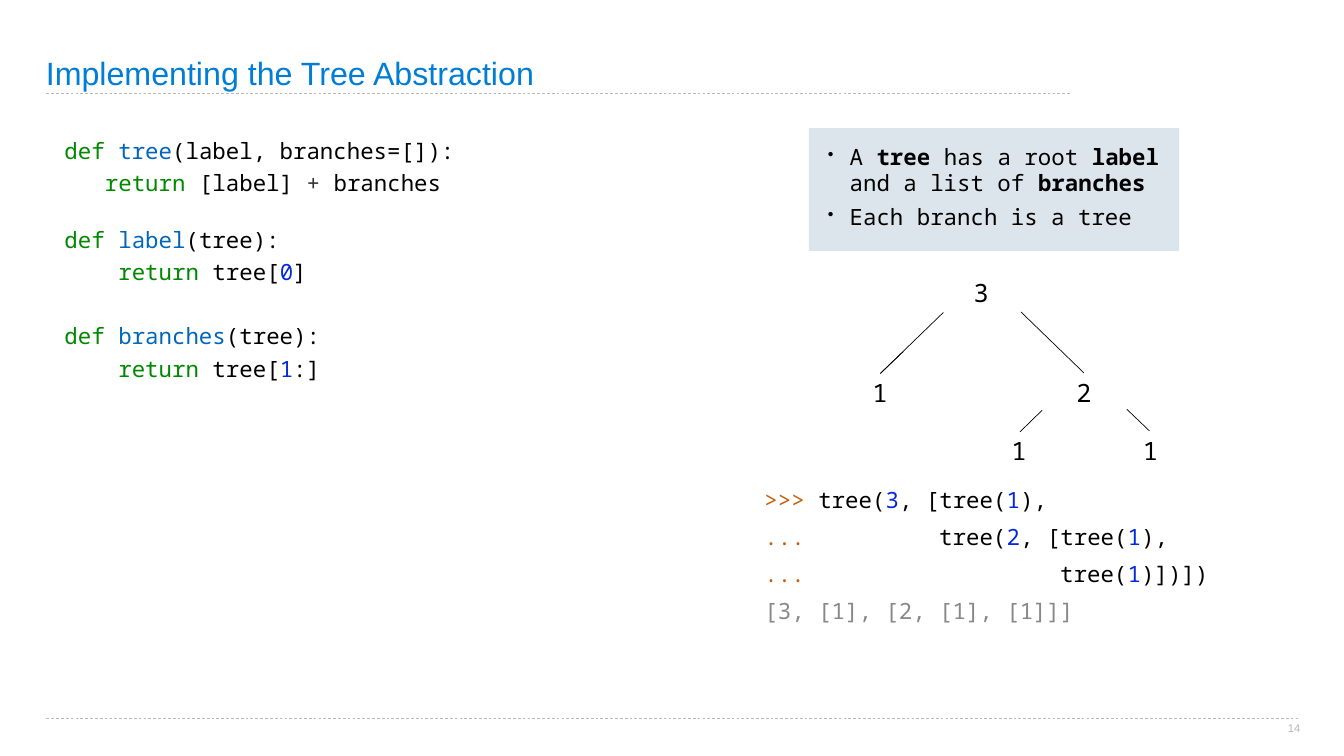
from dataclasses import dataclass

from lxml import etree
from pptx import Presentation
from pptx.dml.color import RGBColor
from pptx.enum.dml import MSO_LINE
from pptx.enum.shapes import MSO_CONNECTOR, MSO_SHAPE
from pptx.enum.text import MSO_ANCHOR, MSO_AUTO_SIZE, PP_ALIGN
from pptx.oxml.ns import qn
from pptx.util import Emu, Pt

EMU_PER_PX = 9144  # 100 px to the inch

BLACK = RGBColor(0x00, 0x00, 0x00)
TITLE_BLUE = RGBColor(0x00, 0x7D, 0xD6)
RULE_GREY = RGBColor(0xB8, 0xB8, 0xB8)
PANEL = RGBColor(0xDC, 0xE4, 0xEC)
KEYWORD = RGBColor(0x00, 0x88, 0x00)
FUNCTION = RGBColor(0x00, 0x66, 0xBB)
NUMBER = RGBColor(0x03, 0x2A, 0xDD)
OPERATOR = RGBColor(0x32, 0x33, 0x33)
PROMPT = RGBColor(0xC6, 0x5E, 0x0A)
RESULT = RGBColor(0x88, 0x88, 0x88)

SANS, MONO = "Arial", "Noto Sans Mono"
CODE_FONT = {"name": MONO, "size": Pt(32)}
NODE_FONT = {"name": MONO, "size": Pt(36)}
NODE_SIZE = (172, 59)
GROWING = {"auto_size": MSO_AUTO_SIZE.SHAPE_TO_FIT_TEXT, "word_wrap": False}


@dataclass(frozen=True)
class Span:
    text: str
    color: RGBColor = BLACK
    bold: bool = False


@dataclass(frozen=True)
class Node:
    label: str
    left: int
    top: int


@dataclass(frozen=True)
class Rule:
    x1: int
    y1: int
    x2: int
    y2: int


def px(length: int) -> Emu:
    return Emu(length * EMU_PER_PX)


def apply_format(target, values: dict) -> None:
    for name, value in values.items():
        setattr(target, name, value)


def write(shape, lines: list, font: dict, paragraph: dict, inset: int = 6, **frame) -> list:
    """Fill a shape with lines of spans and return its paragraphs."""
    text_frame = shape.text_frame
    margins = {f"margin_{side}": px(inset) for side in ("left", "top", "right", "bottom")}
    apply_format(text_frame, {"word_wrap": True, **margins, **frame})
    paragraphs = []
    for index, line in enumerate(lines):
        row = text_frame.add_paragraph() if index else text_frame.paragraphs[0]
        apply_format(row, paragraph)
        for span in line:
            run = row.add_run()
            run.text = span.text
            apply_format(run.font, {**font, "bold": span.bold})
            run.font.color.rgb = span.color
        paragraphs.append(row)
    return paragraphs


def add_text(slide, left: int, top: int, width: int, height: int, lines: list,
             font: dict, paragraph: dict, **frame) -> list:
    box = slide.shapes.add_textbox(px(left), px(top), px(width), px(height))
    return write(box, lines, font, paragraph, **frame)


def add_rule(slide, rule: Rule, color: RGBColor = BLACK, dash=None) -> None:
    connector = slide.shapes.add_connector(
        MSO_CONNECTOR.STRAIGHT, px(rule.x1), px(rule.y1), px(rule.x2), px(rule.y2))
    connector.line.color.rgb = color
    apply_format(connector.line, {"width": Pt(1), "dash_style": dash})
    etree.SubElement(connector._element.spPr, qn("a:effectLst"))


def indent(paragraph, left: int, hanging: int = 0):
    properties = paragraph._p.get_or_add_pPr()
    properties.set("marL", str(px(left)))
    properties.set("indent", str(px(-hanging)))
    return properties


def add_bullet(paragraph) -> None:
    properties = indent(paragraph, 52, 43)
    etree.SubElement(properties, qn("a:buSzPct"), val="75000")
    etree.SubElement(properties, qn("a:buChar"), char="•")


def add_node(slide, node: Node) -> None:
    for row in add_text(slide, node.left, node.top, *NODE_SIZE, [[Span(node.label)]], NODE_FONT,
                        {"alignment": PP_ALIGN.CENTER}, vertical_anchor=MSO_ANCHOR.MIDDLE):
        indent(row, 10)


def definition(name: str, parameters: str) -> list[Span]:
    return [Span("def ", KEYWORD), Span(name, FUNCTION), Span(f"({parameters}):")]


def selection(index: str, end: str) -> list[Span]:
    return [Span("    "), Span("return", KEYWORD), Span(" tree["), Span(index, NUMBER), Span(end)]


def call(prompt: str, start: str, *rest: str) -> list[Span]:
    """A console line whose rest alternates numbers and plain code."""
    code = [Span(text, BLACK if i % 2 else NUMBER) for i, text in enumerate(rest)]
    return [Span(prompt, PROMPT), Span(start), *code]


CONSTRUCTOR = [
    (256, 788, definition("tree", "label, branches=[]")),
    (319, 762, [Span("   "), Span("return", KEYWORD), Span(" [label] "),
                Span("+", OPERATOR), Span(" branches")]),
]
SELECTORS = [
    definition("label", "tree"), selection("0", "]"),
    definition("branches", "tree"), selection("1", ":]"),
]
SESSION = [
    call(">>> ", "tree(", "3", ", [tree(", "1", "),"),
    call("... ", "         tree(", "2", ", [tree(", "1", "),"),
    call("... ", "                  tree(", "1", ")])])"),
    [Span("[3, [1], [2, [1], [1]]]", RESULT)],
]
FACTS = [
    [Span("A "), Span("tree", bold=True), Span(" has a root "), Span("label", bold=True),
     Span(" and a list of "), Span("branches", bold=True)],
    [Span("Each branch is a tree")],
]
NODES = [Node("3", 1856, 551), Node("1", 1655, 749), Node("2", 2060, 749),
         Node("1", 1931, 864), Node("1", 2192, 864)]
EDGES = [Rule(1872, 620, 1747, 741), Rule(1792, 698, 1747, 741), Rule(2026, 619, 2151, 740),
         Rule(2068, 814, 2024, 857), Rule(2236, 812, 2281, 855)]


def main() -> None:
    deck = Presentation()
    deck.slide_width, deck.slide_height = px(2667), px(1500)
    slide = deck.slides.add_slide(deck.slide_layouts[6])

    # Title, rules and page number
    for rule in (Rule(92, 186, 2126, 186), Rule(92, 1426, 2578, 1426)):
        add_rule(slide, rule, RULE_GREY, MSO_LINE.DASH)
    add_text(slide, 91, 0, 2031, 183, [[Span("Implementing the Tree Abstraction", TITLE_BLUE)]],
             {"name": SANS, "size": Pt(46)}, {"line_spacing": 0.9},
             inset=0, vertical_anchor=MSO_ANCHOR.BOTTOM)
    add_text(slide, 2555, 1432, 26, 24, [[Span("14", RULE_GREY)]],
             {"name": SANS, "size": Pt(16)}, {"alignment": PP_ALIGN.CENTER}, inset=0, **GROWING)

    # Facts panel
    panel = slide.shapes.add_shape(MSO_SHAPE.RECTANGLE, px(1605), px(254), px(735), px(244))
    panel.shadow.inherit = False
    panel.fill.solid()
    panel.fill.fore_color.rgb = PANEL
    panel.line.fill.background()
    facts = write(panel, FACTS, CODE_FONT, {"alignment": PP_ALIGN.LEFT}, inset=29,
                  vertical_anchor=MSO_ANCHOR.TOP)
    for fact in facts:
        add_bullet(fact)
    facts[1].space_before = Pt(10)

    # Tree diagram
    for edge in EDGES:
        add_rule(slide, edge)
    for node in NODES:
        add_node(slide, node)

    # Console session
    add_text(slide, 1511, 980, 922, 222, SESSION, CODE_FONT, {"line_spacing": Pt(53)},
             vertical_anchor=MSO_ANCHOR.MIDDLE, **GROWING)

    # Constructor and selectors
    for top, width, line in CONSTRUCTOR:
        add_text(slide, 122, top, width, 64, [line], CODE_FONT, {"line_spacing": 1.2}, **GROWING)
    selectors = add_text(slide, 122, 446, 548, 317, SELECTORS, CODE_FONT, {"line_spacing": 1.2},
                         vertical_anchor=MSO_ANCHOR.BOTTOM, **GROWING)
    selectors[2].space_before = Pt(46)

    deck.save("out.pptx")


if __name__ == "__main__":
    main()
